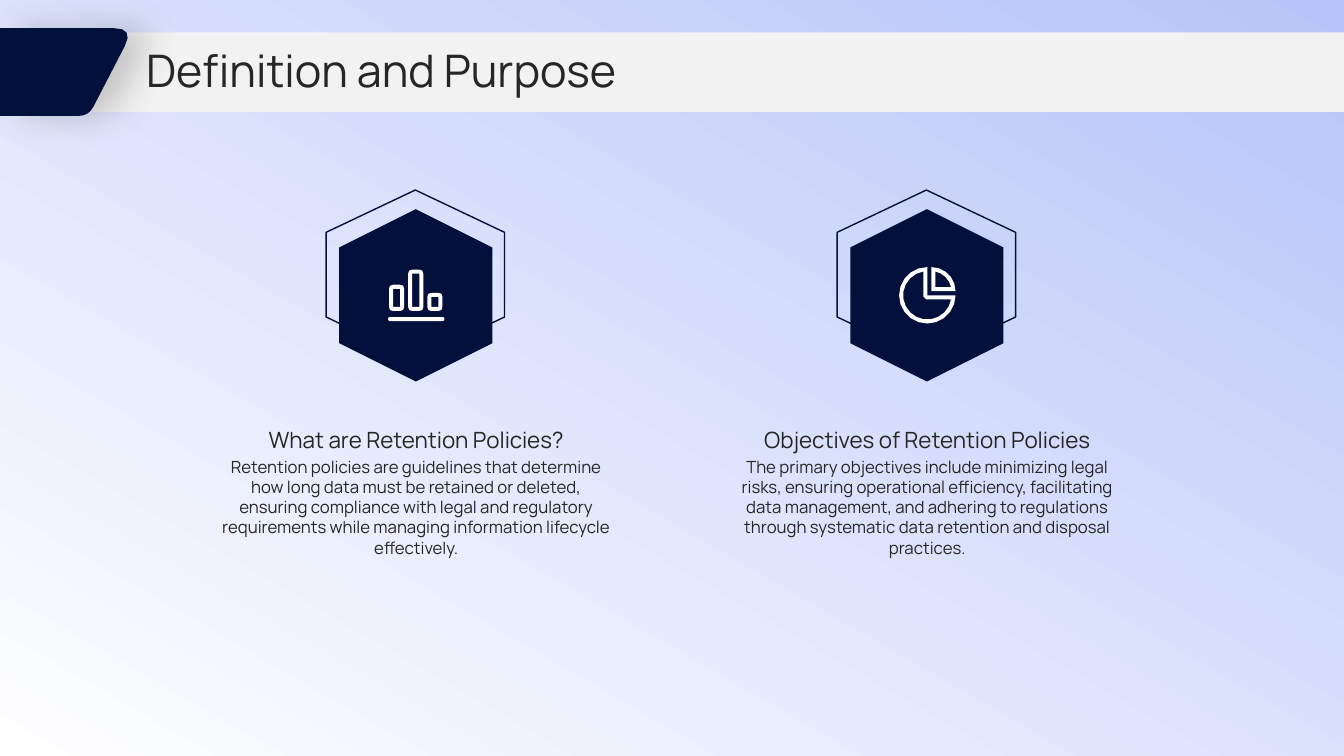
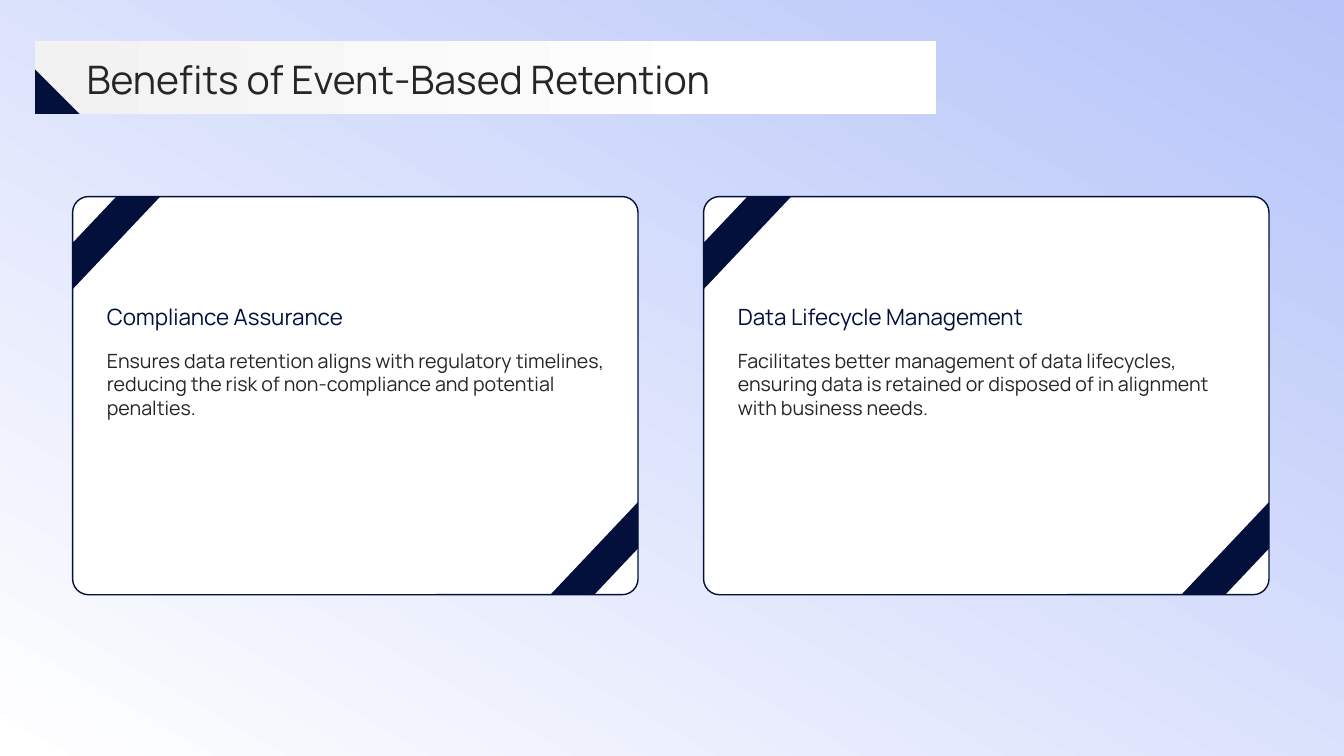
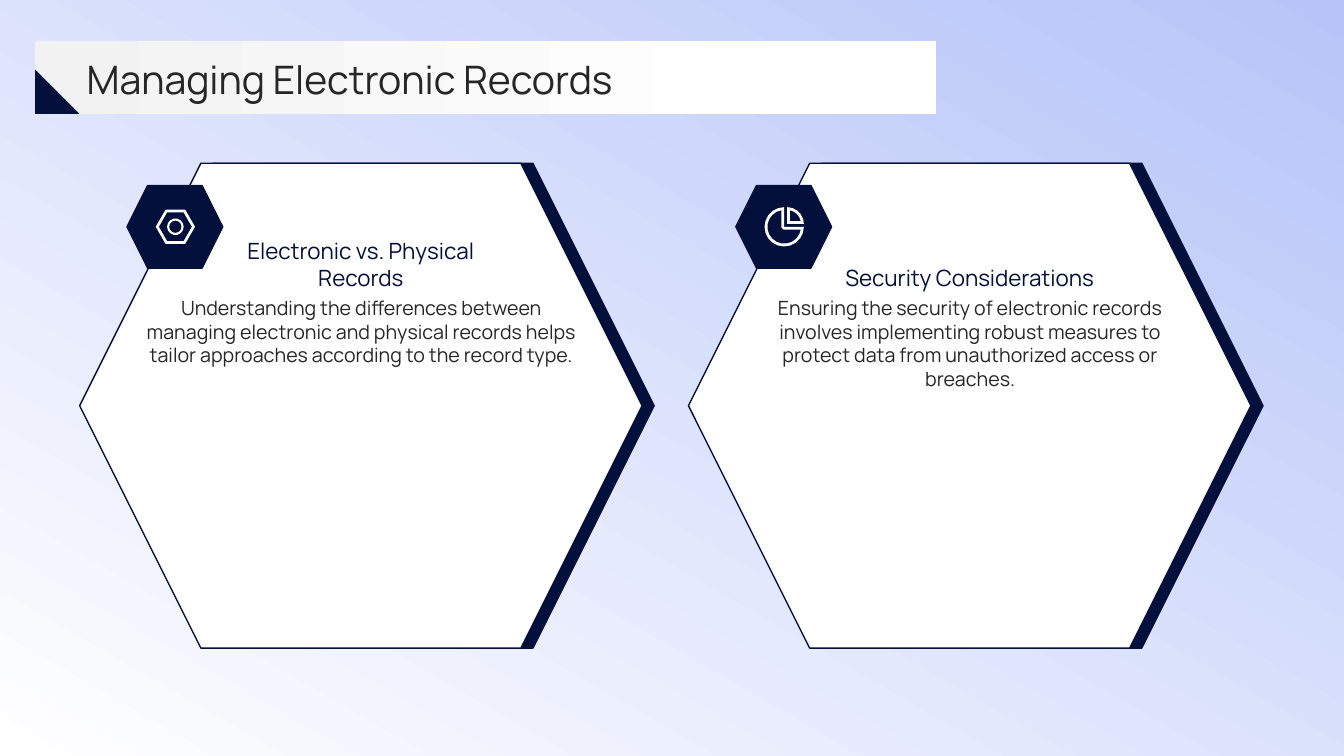
import math

import lxml.etree
import pptx
import pptx.dml.color
import pptx.enum.shapes
import pptx.enum.text
import pptx.oxml.ns
import pptx.util

Inches = pptx.util.Inches
Shape = pptx.enum.shapes.MSO_SHAPE
Align = pptx.enum.text.PP_ALIGN
Anchor = pptx.enum.text.MSO_ANCHOR

HEIGHT = 7.5
WIDTH = HEIGHT * 16 / 9
FONT = "Manrope"
COLORS = {"navy": "03103B", "ink": "262626", "white": "FFFFFF", "band": "F2F2F2", "sky": "B6C4F8", "shade": "595959"}

DEFINITION = {
    "title": "Definition and Purpose",
    "items": [
        ("bars", "What are Retention Policies?",
         "Retention policies are guidelines that determine how long data must be retained or deleted, ensuring compliance with legal and regulatory requirements while managing information lifecycle effectively."),
        ("pie", "Objectives of Retention Policies",
         "The primary objectives include minimizing legal risks, ensuring operational efficiency, facilitating data management, and adhering to regulations through systematic data retention and disposal practices."),
    ],
}
BENEFITS = {
    "title": "Benefits of Event-Based Retention",
    "items": [
        ("Compliance Assurance",
         "Ensures data retention aligns with regulatory timelines, reducing the risk of non-compliance and potential penalties."),
        ("Data Lifecycle Management",
         "Facilitates better management of data lifecycles, ensuring data is retained or disposed of in alignment with business needs."),
    ],
}
RECORDS = {
    "title": "Managing Electronic Records",
    "items": [
        ("nut", "Electronic vs. Physical Records",
         "Understanding the differences between managing electronic and physical records helps tailor approaches according to the record type."),
        ("pie", "Security Considerations",
         "Ensuring the security of electronic records involves implementing robust measures to protect data from unauthorized access or breaches."),
    ],
}


def rgb(name):
    return pptx.dml.color.RGBColor.from_string(COLORS[name])


def arc(x, y, radius, start, end, steps):
    angles = [math.radians(start + (end - start) * step / steps) for step in range(steps + 1)]
    return [(x + radius * math.cos(angle), y + radius * math.sin(angle)) for angle in angles]


def ring(radius, sides):
    return arc(0, 0, radius, 0, 360, sides)[:-1]


def rounded(corners, steps=2):
    points = []
    for index, (x, y, radius) in enumerate(corners):
        ends = []
        for near_x, near_y, _ in (corners[index - 1], corners[(index + 1) % len(corners)]):
            share = radius / math.hypot(near_x - x, near_y - y)
            ends.append((x + (near_x - x) * share, y + (near_y - y) * share))
        (x0, y0), (x1, y1) = ends
        for step in range(steps + 1 if radius else 1):
            t = step / steps
            points.append(((1 - t) ** 2 * x0 + 2 * t * (1 - t) * x + t * t * x1,
                           (1 - t) ** 2 * y0 + 2 * t * (1 - t) * y + t * t * y1))
    return points


def rounded_box(left, top, right, bottom, radius):
    return rounded([(left, top, radius), (right, top, radius), (right, bottom, radius), (left, bottom, radius)])


def bars_icon():
    contours = [rounded_box(0, 0.47, 0.56, 0.51, 0.02)]
    for left, top in ((0.01, 0.15), (0.2, 0), (0.39, 0.23)):
        contours.append(rounded_box(left, top, left + 0.15, 0.41, 0.04))
        contours.append(rounded_box(left + 0.04, top + 0.04, left + 0.11, 0.37, 0))
    return contours


def pie_icon():
    tilt = math.degrees(math.asin(0.2))
    inner = math.degrees(math.asin(0.04 / 0.24))
    return [
        [(0.28, 0.28)] + arc(0.28, 0.28, 0.28, 0, 270, 15),
        [(0.24, 0.29), (0.27, 0.32)] + arc(0.28, 0.28, 0.24, inner, 270 - inner, 14),
        [(0.32, 0.24)] + arc(0.32, 0.24, 0.24, -90, 0, 5),
        [(0.36, 0.2)] + arc(0.32, 0.24, 0.2, tilt - 90, -tilt, 4),
    ]


ICONS = {"bars": bars_icon(), "pie": pie_icon(), "nut": [ring(0.19, 6), ring(0.16, 6), ring(0.08, 14), ring(0.06, 12)]}


def paint(shape, fill, line=None):
    shape.shadow.inherit = False
    if fill:
        shape.fill.solid()
        shape.fill.fore_color.rgb = rgb(fill)
    else:
        shape.fill.background()
    if line:
        shape.line.color.rgb = rgb(line)
        shape.line.width = pptx.util.Pt(1)
    else:
        shape.line.fill.background()
    return shape


def add_preset(slide, kind, left, top, width, height, fill, line=None):
    shape = slide.shapes.add_shape(kind, Inches(left), Inches(top), Inches(width), Inches(height))
    return paint(shape, fill, line)


def add_outline(slide, contours, fill):
    contours = [[(Inches(x), Inches(y)) for x, y in contour] for contour in contours]
    builder = slide.shapes.build_freeform(*contours[0][0])
    for index, contour in enumerate(contours):
        if index:
            builder.move_to(*contour[0])
        builder.add_line_segments(contour[1:], close=True)
    return paint(builder.convert_to_shape(), fill)


def add_icon(slide, name, center_x, center_y, width):
    points = [point for contour in ICONS[name] for point in contour]
    (left, right), (top, bottom) = [(min(axis), max(axis)) for axis in zip(*points)]
    scale = width / (right - left)
    add_outline(slide, [[(center_x + (x - (left + right) / 2) * scale, center_y + (y - (top + bottom) / 2) * scale)
                         for x, y in contour] for contour in ICONS[name]], "white")


def write(shape, text, size, color="ink", align=Align.LEFT, anchor=Anchor.TOP):
    frame = shape.text_frame
    frame.word_wrap = True
    frame.auto_size = pptx.enum.text.MSO_AUTO_SIZE.NONE
    frame.vertical_anchor = anchor
    frame.margin_left = frame.margin_top = frame.margin_right = frame.margin_bottom = 0
    paragraph = frame.paragraphs[0]
    paragraph.alignment = align
    run = paragraph.add_run()
    run.text = text
    run.font.name = FONT
    run.font.size = pptx.util.Pt(size)
    run.font.color.rgb = rgb(color)


def add_text(slide, box, *style):
    write(slide.shapes.add_textbox(*map(Inches, box)), *style)


def set_gradient(fill, stops, angle):
    fill.gradient()
    fill.gradient_angle = angle
    for stop, (position, color) in zip(fill.gradient_stops, stops):
        stop.position = position
        stop.color.rgb = rgb(color)


def add_backdrop(slide):
    backdrop = add_preset(slide, Shape.RECTANGLE, 0, 0, WIDTH, HEIGHT, "white")
    set_gradient(backdrop.fill, [(0, "sky"), (1, "white")], 240)


def place_title(slide, text, box, size):
    title = slide.shapes.title
    title.left, title.top, title.width, title.height = map(Inches, box)
    write(title, text, size, "ink", Align.LEFT, Anchor.MIDDLE)
    title._element.getparent().append(title._element)


def add_tab_header(slide, text):
    add_preset(slide, Shape.RECTANGLE, 0.26, 0.32, WIDTH - 0.26, 0.79, "band")
    corners = [(0, 0.28, 0), (1.33, 0.28, 0.2), (0.88, 1.15, 0.1), (0, 1.15, 0)]
    tab = add_outline(slide, [rounded(corners, 4)], "navy")
    effects = tab._element.spPr.find(pptx.oxml.ns.qn("a:effectLst"))
    shadow = lxml.etree.SubElement(effects, pptx.oxml.ns.qn("a:outerShdw"), blurRad=str(pptx.util.Pt(25)),
                                   dist=str(pptx.util.Pt(15)), dir="0", algn="l", rotWithShape="0")
    color = lxml.etree.SubElement(shadow, pptx.oxml.ns.qn("a:srgbClr"), val=COLORS["shade"])
    lxml.etree.SubElement(color, pptx.oxml.ns.qn("a:alpha"), val="30000")
    place_title(slide, text, (1.45, 0.46, 11.26, 0.47), 32)


def add_band_header(slide, text):
    band = add_preset(slide, Shape.RECTANGLE, 0.35, 0.41, 8.94, 0.72, "band")
    set_gradient(band.fill, [(0, "band"), (0.8, "white")], 0)
    place_title(slide, text, (0.86, 0.53, 11.67, 0.51), 28)
    add_preset(slide, Shape.RIGHT_TRIANGLE, 0.35, 0.69, 0.44, 0.44, "navy")


def build_definition(slide):
    for column, (icon, heading, body) in enumerate(DEFINITION["items"]):
        left = 2.16 + column * 5.07
        center = left + 1.96
        add_preset(slide, Shape.HEXAGON, center - 0.84, 1.84, 1.68, 1.77, None, "navy").rotation = 90
        add_preset(slide, Shape.HEXAGON, center - 0.85, 2.17, 1.71, 1.52, "navy").rotation = 90
        add_icon(slide, icon, center + 0.01, 2.93, 0.56)
        add_text(slide, (left, 4.53, 3.94, 1.71), body, 12, "ink", Align.CENTER)
        add_text(slide, (left, 3.98, 3.94, 0.51), heading, 16, "ink", Align.CENTER, Anchor.BOTTOM)
    add_tab_header(slide, DEFINITION["title"])


def build_benefits(slide):
    top, width, height = 1.95, 5.61, 3.95
    stripe_width, stripe_height = 0.87, 0.92
    for column, (heading, body) in enumerate(BENEFITS["items"]):
        left = 0.72 + column * 6.26
        card = add_preset(slide, Shape.ROUNDED_RECTANGLE, left, top, width, height, "white", "navy")
        card.adjustments[0] = 0.04
        for share, rotation in ((0, 0), (1, 180)):
            stripe = add_preset(slide, Shape.DIAGONAL_STRIPE, left + share * (width - stripe_width),
                                top + share * (height - stripe_height), stripe_width, stripe_height, "navy")
            stripe.rotation = rotation
        add_text(slide, (left + 0.34, 3.46, 5.02, 1.87), body, 14)
        add_text(slide, (left + 0.34, 2.83, 5.02, 0.44), heading, 16, "navy", Align.LEFT, Anchor.BOTTOM)
    add_band_header(slide, BENEFITS["title"])


def build_records(slide):
    for column, (icon, heading, body) in enumerate(RECORDS["items"]):
        left = 0.79 + column * 6.04
        for offset, fill in ((0.12, "navy"), (0, "white")):
            add_preset(slide, Shape.HEXAGON, left + offset, 1.62, 5.58, 4.81, fill, "navy")
        add_text(slide, (left + 0.65, 2.94, 4.29, 2.26), body, 14, "ink", Align.CENTER)
        add_text(slide, (left + 1.46, 2.07, 2.66, 0.82), heading, 16, "navy", Align.CENTER, Anchor.BOTTOM)
        add_preset(slide, Shape.HEXAGON, left + 0.47, 1.84, 0.95, 0.82, "navy", "navy")
        add_icon(slide, icon, left + 0.95, 2.25, 0.39)
    add_band_header(slide, RECORDS["title"])


def main():
    presentation = pptx.Presentation()
    presentation.slide_width, presentation.slide_height = Inches(WIDTH), Inches(HEIGHT)
    for build in (build_definition, build_benefits, build_records):
        slide = presentation.slides.add_slide(presentation.slide_layouts[5])
        add_backdrop(slide)
        build(slide)
    presentation.save("out.pptx")


if __name__ == "__main__":
    main()
